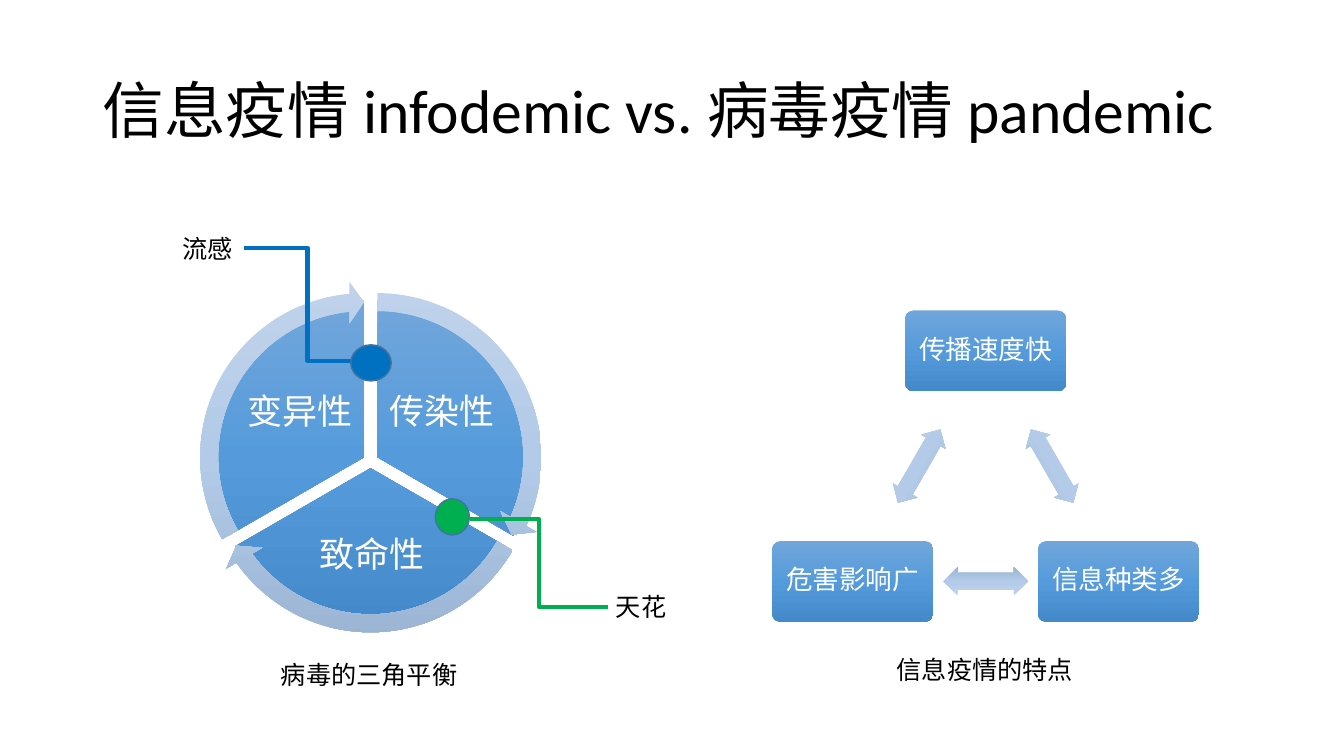
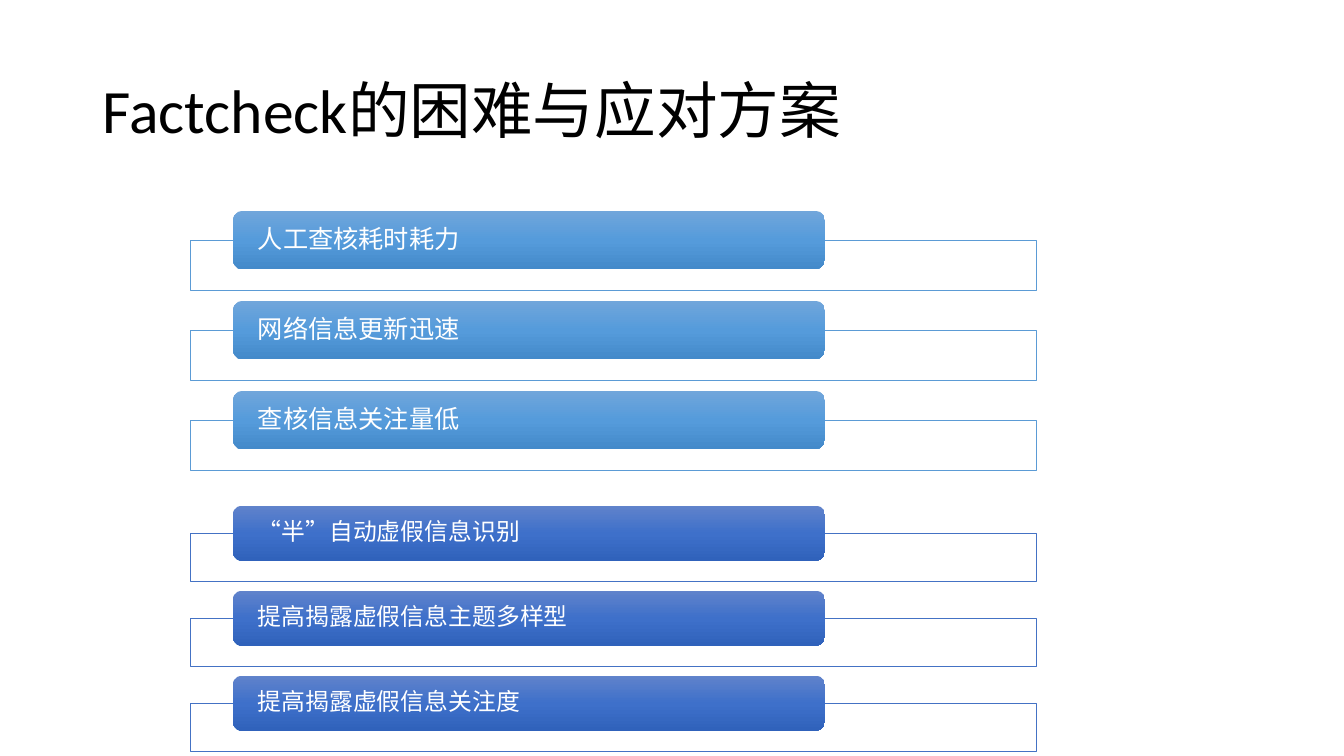
from copy import deepcopy
from itertools import combinations

from pptx import Presentation
from pptx import util as u
from pptx.dml.color import RGBColor
from pptx.enum import lang, shapes, text
from pptx.oxml.ns import qn
from pptx.oxml.xmlchemy import OxmlElement

# Shared style
FONT = "Calibri"
BLACK = RGBColor(0x00, 0x00, 0x00)
WHITE = RGBColor(0xFF, 0xFF, 0xFF)
BLUE = RGBColor(0x00, 0x70, 0xC0)
GREEN = RGBColor(0x00, 0xB0, 0x50)
DOT_EDGE = RGBColor(0x43, 0x73, 0x9E)
SKY_EDGE = RGBColor(0x5B, 0x9B, 0xD5)
ROYAL_EDGE = RGBColor(0x44, 0x72, 0xC4)
SKY = [RGBColor(0x71, 0xA6, 0xDB), RGBColor(0x55, 0x9B, 0xDB), RGBColor(0x44, 0x8A, 0xCA)]
ROYAL = [RGBColor(0x61, 0x83, 0xCB), RGBColor(0x3E, 0x70, 0xCA), RGBColor(0x30, 0x62, 0xBB)]
PALE = [RGBColor(0xC0, 0xD2, 0xEB), RGBColor(0xB3, 0xCB, 0xE9), RGBColor(0x9B, 0xB4, 0xD3)]

SHAPE = shapes.MSO_SHAPE
MIDDLE = text.MSO_ANCHOR.MIDDLE
CENTER = text.PP_ALIGN.CENTER


def set_all(obj, values):
    for name, value in values.items():
        setattr(obj, name, value)


def cm(*lengths):
    return [u.Cm(v) for v in lengths]


def write(sp, words, size, color, align=None, inset=None, spacing=0.9, wrap=True):
    tf = sp.text_frame
    set_all(tf, {"word_wrap": wrap, "vertical_anchor": MIDDLE})
    if inset:
        dx, dy = cm(*inset)
        set_all(tf, {"margin_left": dx, "margin_right": dx,
                     "margin_top": dy, "margin_bottom": dy})
    p = tf.paragraphs[0]
    set_all(p, {"alignment": align, "line_spacing": spacing})
    r = p.add_run()
    r.text = words
    set_all(r.font, {"name": FONT, "size": u.Pt(size),
                     "language_id": lang.MSO_LANGUAGE_ID.SIMPLIFIED_CHINESE})
    r.font.color.rgb = color


def add_text(s, box, words, size, color=BLACK, **style):
    write(s.shapes.add_textbox(*cm(*box)), words, size, color, **style)


def add_title(s, words):
    add_text(s, (2.34, 1.02, 29.21, 3.68), words, 44)


def add_caption(s, x, y, width, words):
    add_text(s, (x, y, width, 1.02), words, 18, spacing=None, wrap=False)


def add_shape(s, kind, box, fill, edge=None, weight=1, adj=(), rotation=0):
    """A list of colours as fill gives a gradient from top to bottom."""
    sp = s.shapes.add_shape(kind, *cm(*box))
    sp.shadow.inherit = False
    sp.rotation = rotation
    for i, value in enumerate(adj):
        sp.adjustments[i] = value
    if isinstance(fill, list):
        sp.fill.gradient()
        sp.fill.gradient_angle = 270
        stops = sp.element.spPr.find(qn("a:gradFill")).find(qn("a:gsLst"))
        stops.append(deepcopy(stops[0]))
        for i, (stop, color) in enumerate(zip(sp.fill.gradient_stops, fill)):
            stop.position = i / 2
            stop.color.rgb = color
    else:
        sp.fill.solid()
        sp.fill.fore_color.rgb = fill
    if edge is None:
        sp.line.fill.background()
    else:
        sp.line.color.rgb = edge
        sp.line.width = u.Pt(weight)
    return sp


def add_centered(s, kind, center, size, fill, **style):
    (x, y), (w, h) = center, size
    return add_shape(s, kind, (x - w / 2, y - h / 2, w, h), fill, **style)


def add_callout(s, start, end, color, weight, dot):
    line = s.shapes.add_connector(shapes.MSO_CONNECTOR.ELBOW, *cm(*start, *end))
    line.line.color.rgb = color
    line.line.width = u.Pt(weight)
    line.element.spPr.append(OxmlElement("a:effectLst"))
    add_shape(s, SHAPE.OVAL, dot, color, DOT_EDGE)


def add_cycle(s):
    # Centre of each sector, its start and end angle, its label
    sectors = [
        ((9.51, 11.52), 162, 18, "传染性", (9.73, 9.25, 2.82, 2.34)),
        ((9.34, 11.80), 18, 90, "致命性", (7.26, 12.98, 4.22, 2.06)),
        ((9.18, 11.52), 90, 162, "变异性", (6.15, 9.25, 2.82, 2.34)),
    ]
    for center, start, end, label, box in sectors:
        add_centered(s, SHAPE.PIE, center, (7.9, 7.9), SKY, adj=(start, end))
        add_text(s, box, label, 25, WHITE, align=CENTER, inset=(0.08, 0.08))
    head = 3.275
    for center, start, end, *_ in sectors:
        add_centered(s, SHAPE.CIRCULAR_ARROW, center, (8.86, 8.86), PALE,
                     adj=(0.051, head, end - head, start, 0.059))


def add_triangle(s):
    nodes = [("传播速度快", (24.84, 8.84)), ("信息种类多", (28.19, 14.65)),
             ("危害影响广", (21.49, 14.65))]
    for label, center in nodes:
        sp = add_centered(s, SHAPE.ROUNDED_RECTANGLE, center, (4.06, 2.03), SKY, adj=(0.1,))
        write(sp, label, 19, WHITE, align=CENTER, inset=(0.2, 0.2))
    # A double arrow halfway between every two nodes
    for ((_, a), (_, b)), angle in zip(combinations(nodes, 2), (60, 300, 180)):
        center = (a[0] + b[0]) / 2, (a[1] + b[1]) / 2
        add_centered(s, SHAPE.LEFT_RIGHT_ARROW, center, (2.13, 0.71), PALE,
                     adj=(0.6, 0.5), rotation=angle)


def add_list(s, top, size, fill, edge, items):
    # Heights follow from the text size
    pill, frame, pitch = size * 0.082, size * 0.071, size * 0.126
    for i, item in enumerate(items):
        y = top + i * pitch
        add_shape(s, SHAPE.RECTANGLE, (4.8, y + pill / 2, 21.31, frame), WHITE, edge, 0.5)
        sp = add_shape(s, SHAPE.ROUNDED_RECTANGLE, (5.87, y, 14.92, pill), fill)
        write(sp, item, size, WHITE, align=text.PP_ALIGN.LEFT, inset=(0.56, 0))


def build_comparison(s):
    add_title(s, "信息疫情 infodemic vs. 病毒疫情 pandemic")
    add_cycle(s)
    add_caption(s, 6.83, 16.48, 5, "病毒的三角平衡")
    add_callout(s, (11.84, 13.08), (15.32, 15.29), GREEN, 2.75, (10.97, 12.57, 0.86, 0.91))
    add_caption(s, 15.27, 14.78, 1.8, "天花")
    add_callout(s, (9.35, 9.09), (6.15, 6.25), BLUE, 3, (8.84, 8.69, 1.02, 0.91))
    add_caption(s, 4.34, 5.74, 1.8, "流感")
    add_triangle(s)
    add_caption(s, 22.35, 16.36, 5, "信息疫情的特点")


def build_factcheck(s):
    add_title(s, "Factcheck的困难与应对方案")
    add_list(s, 5.31, 18, SKY, SKY_EDGE,
             ["人工查核耗时耗力", "网络信息更新迅速", "查核信息关注量低"])
    add_list(s, 12.74, 17, ROYAL, ROYAL_EDGE,
             ["“半”自动虚假信息识别", "提高揭露虚假信息主题多样型", "提高揭露虚假信息关注度"])


def main():
    prs = Presentation()
    set_all(prs, {"slide_width": u.Cm(33.87), "slide_height": u.Cm(19.05)})
    for build in (build_comparison, build_factcheck):
        build(prs.slides.add_slide(prs.slide_layouts[6]))
    prs.save("out.pptx")


if __name__ == "__main__":
    main()
